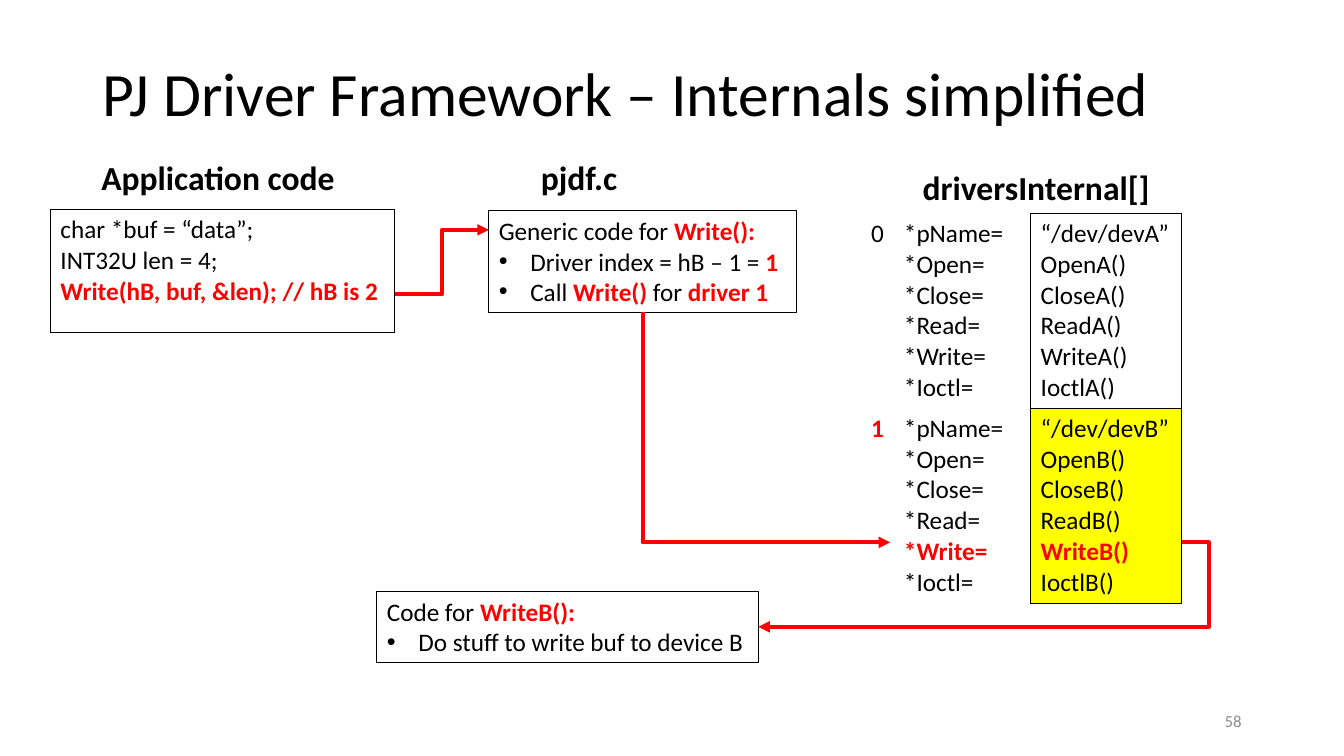
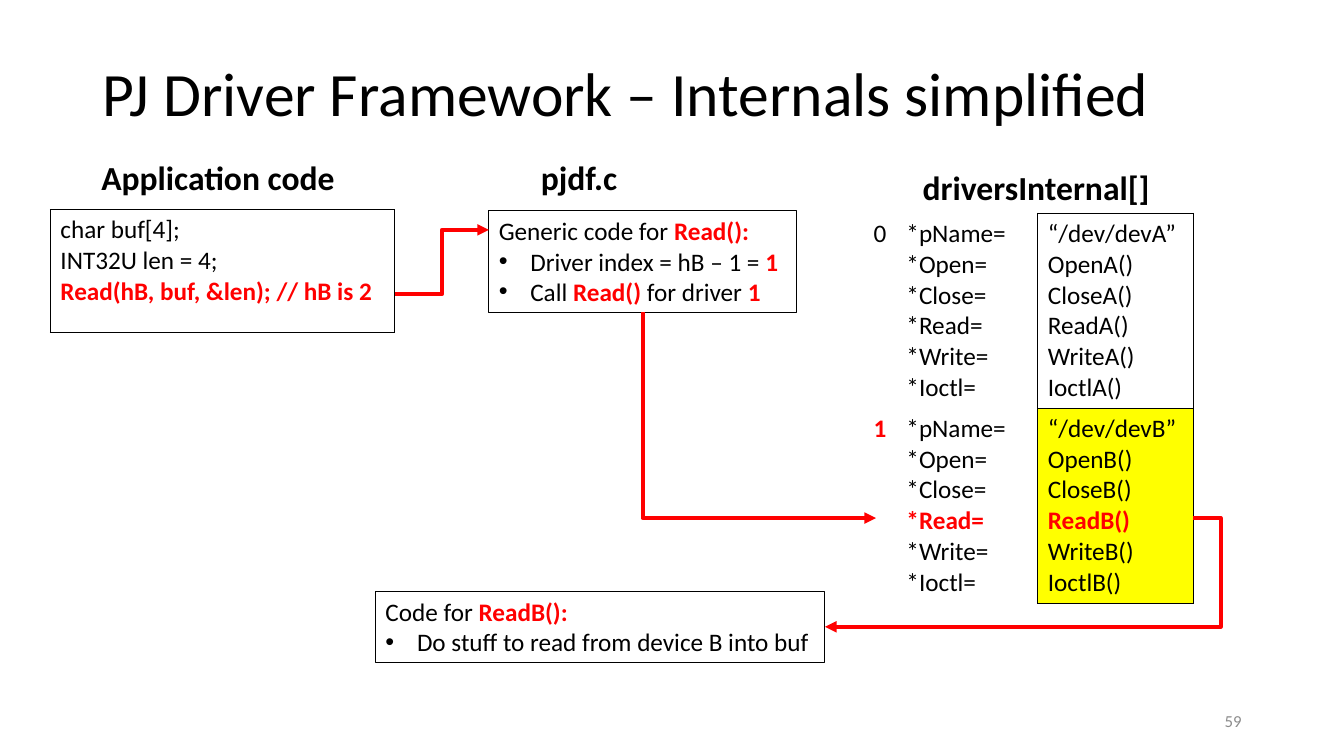
from dataclasses import dataclass

from lxml.etree import SubElement
from pptx import Presentation
from pptx.dml.color import RGBColor
from pptx.enum.shapes import MSO_CONNECTOR as Connector, MSO_SHAPE as Shape
from pptx.enum.text import MSO_ANCHOR as Anchor, MSO_AUTO_SIZE as AutoSize, PP_ALIGN as Align
from pptx.oxml.ns import qn
from pptx.util import Pt

BLACK = RGBColor(0x00, 0x00, 0x00)
RED = RGBColor(0xFF, 0x00, 0x00)
GRAY = RGBColor(0x8C, 0x8C, 0x8C)
YELLOW = RGBColor(0xFF, 0xFF, 0x00)

FONT = "Calibri"
BODY_SIZE = 18
TITLE = "PJ Driver Framework – Internals simplified"
FIELDS = ("Open", "Close", "Read", "Write", "Ioctl")
ALL_SIDES = ("lnL", "lnR", "lnT", "lnB")
BULLET_INDENT = 22.5

TABLE_LEFT, TABLE_TOP, ENTRY_HEIGHT = 589, 152.5, 139.2
CELL_MARGIN, LINE_HEIGHT = 3.6, 22
BEND_OUT = 19.4


@dataclass(frozen=True)
class Span:
    text: str
    hot: bool = False


@dataclass(frozen=True)
class Line:
    spans: tuple[Span, ...]
    bullet: bool = False


@dataclass(frozen=True)
class Style:
    size: float = BODY_SIZE
    color: RGBColor = BLACK
    bold: bool = False
    align: Align = Align.LEFT
    spacing: float | None = None


@dataclass(frozen=True)
class Area:
    left: float
    top: float
    width: float
    height: float

    @property
    def right(self) -> float:
        return self.left + self.width

    @property
    def bottom(self) -> float:
        return self.top + self.height

    def lengths(self) -> tuple[Pt, ...]:
        return Pt(self.left), Pt(self.top), Pt(self.width), Pt(self.height)


@dataclass(frozen=True)
class Label:
    text: str
    area: Area


@dataclass(frozen=True)
class Walkthrough:
    number: int
    operation: str
    declaration: str
    driver_call: tuple[Span, ...]
    task: str
    routine_area: Area
    columns: tuple[float, ...]
    arrow_end: float
    arrow_level: float


BODY = Style()
HEADING = Style(size=24, bold=True)
TITLE_STYLE = Style(size=44, spacing=0.9)
NUMBER_STYLE = Style(size=12, color=GRAY, align=Align.RIGHT)

TITLE_AREA = Area(66, 28.75, 828, 80)
NUMBER_AREA = Area(678, 500.5, 216, 28.75)
APPLICATION_AREA = Area(36, 149.75, 246, 88)
GENERIC_AREA = Area(349.2, 150.5, 219.6, 72.7)

LABELS = (
    Label("driversInternal[]", Area(652, 115.4, 178.5, 36)),
    Label("Application code", Area(65.3, 108.3, 183, 36)),
    Label("pjdf.c", Area(379.2, 108.3, 70, 36)),
)

WALKTHROUGHS = (
    Walkthrough(
        58, "Write", "char *buf = “data”;",
        (Span("for "), Span("driver 1", True)),
        "Do stuff to write buf to device B",
        Area(269.3, 422.2, 272.4, 51), (49.5, 97.7, 108), 635.8, 387.4,
    ),
    Walkthrough(
        59, "Read", "char buf[4];",
        (Span("for driver "), Span("1", True)),
        "Do stuff to read from device B into buf",
        Area(268.3, 422.2, 321, 51), (51.3, 101, 111.2), 625.7, 370,
    ),
)


def plain(text: str, hot: bool = False) -> Line:
    return Line((Span(text, hot),))


def write_lines(frame, lines: list[Line], style: Style = BODY) -> None:
    for index, line in enumerate(lines):
        para = frame.add_paragraph() if index else frame.paragraphs[0]
        para.alignment = style.align
        if style.spacing:
            para.line_spacing = style.spacing
        if line.bullet:
            properties = para._p.get_or_add_pPr()
            properties.set("marL", str(Pt(BULLET_INDENT)))
            properties.set("indent", str(-Pt(BULLET_INDENT)))
            SubElement(properties, qn("a:buFont"), typeface="Arial")
            SubElement(properties, qn("a:buChar"), char="•")
        para.font.name = FONT
        para.font.size = Pt(style.size)
        uniform = len({span.hot for span in line.spans}) == 1
        for span in line.spans:
            run = para.add_run()
            run.text = span.text
            font = para.font if uniform else run.font
            font.bold = style.bold or span.hot
            font.color.rgb = RED if span.hot else style.color


def add_text(page, area: Area, text: str, style: Style, fitted: bool = False) -> None:
    frame = page.shapes.add_textbox(*area.lengths()).text_frame
    frame.word_wrap = not fitted
    frame.auto_size = AutoSize.SHAPE_TO_FIT_TEXT if fitted else AutoSize.NONE
    frame.vertical_anchor = Anchor.TOP if fitted else Anchor.MIDDLE
    write_lines(frame, [plain(text)], style)


def add_code_box(page, area: Area, lines: list[Line]) -> None:
    box = page.shapes.add_shape(Shape.RECTANGLE, *area.lengths())
    box.shadow.inherit = False
    box.fill.background()
    box.line.color.rgb = BLACK
    box.line.width = Pt(0.75)
    frame = box.text_frame
    frame.word_wrap = False
    frame.auto_size = AutoSize.SHAPE_TO_FIT_TEXT
    frame.vertical_anchor = Anchor.TOP
    write_lines(frame, lines)


def add_plain_table(page, area: Area, columns: tuple[float, ...], row_count: int):
    table = page.shapes.add_table(row_count, len(columns), *area.lengths()).table
    table.first_row = False
    table.horz_banding = False
    for column, width in zip(table.columns, columns):
        column.width = Pt(width)
    for row in table.rows:
        row.height = Pt(area.height / row_count)
    return table


def fill_cell(cell, lines: list[Line], sides: tuple[str, ...] = (),
              fill: RGBColor | None = None, style: Style = BODY) -> None:
    properties = cell._tc.get_or_add_tcPr()
    for side in sides:
        border = SubElement(properties, qn(f"a:{side}"), w=str(Pt(1)))
        solid = SubElement(border, qn("a:solidFill"))
        SubElement(solid, qn("a:srgbClr"), val=str(BLACK))
    if fill is None:
        cell.fill.background()
    else:
        cell.fill.solid()
        cell.fill.fore_color.rgb = fill
    write_lines(cell.text_frame, lines, style)


def add_elbow(page, begin: tuple[float, float], end: tuple[float, float], bend: float = 0.5):
    points = [Pt(value) for value in (*begin, *end)]
    arrow = page.shapes.add_connector(Connector.ELBOW, *points)
    arrow.line.color.rgb = RED
    arrow.line.width = Pt(2.75)
    properties = arrow._element.spPr
    SubElement(properties.find(qn("a:ln")), qn("a:tailEnd"), type="triangle")
    SubElement(properties, qn("a:effectLst"))
    guides = properties.find(qn("a:prstGeom")).find(qn("a:avLst"))
    SubElement(guides, qn("a:gd"), name="adj1", fmla=f"val {round(bend * 100000)}")
    return arrow


def add_corner(page, begin: tuple[float, float], end: tuple[float, float]) -> None:
    center_x, center_y = (begin[0] + end[0]) / 2, (begin[1] + end[1]) / 2
    half_width, half_height = (end[0] - begin[0]) / 2, (end[1] - begin[1]) / 2
    arrow = add_elbow(page, (center_x + half_height, center_y - half_width),
                      (center_x - half_height, center_y + half_width))
    properties = arrow._element.spPr
    properties.find(qn("a:xfrm")).set("rot", str(270 * 60000))
    geometry = properties.find(qn("a:prstGeom"))
    geometry.set("prst", "bentConnector2")
    guides = geometry.find(qn("a:avLst"))
    guides.remove(guides[0])


def add_driver_table(page, walkthrough: Walkthrough) -> Area:
    area = Area(TABLE_LEFT, TABLE_TOP, sum(walkthrough.columns), 2 * ENTRY_HEIGHT)
    table = add_plain_table(page, area, walkthrough.columns, 2)
    for row, (device, fill) in enumerate((("A", None), ("B", YELLOW))):
        called = device == "B"
        names = [plain("*pName=")]
        values = [plain(f"“/dev/dev{device}”")]
        for field in FIELDS:
            hot = called and field == walkthrough.operation
            names.append(plain(f"*{field}=", hot))
            values.append(plain(f"{field}{device}()", hot))
        fill_cell(table.cell(row, 0), [plain(str(row), called)], style=Style(align=Align.RIGHT))
        fill_cell(table.cell(row, 1), names, ("lnR",))
        fill_cell(table.cell(row, 2), values, ALL_SIDES, fill)
    return area


def add_walkthrough(deck, walkthrough: Walkthrough) -> None:
    page = deck.slides.add_slide(deck.slide_layouts[6])
    operation, routine = walkthrough.operation, walkthrough.routine_area
    add_text(page, TITLE_AREA, TITLE, TITLE_STYLE)
    add_text(page, NUMBER_AREA, str(walkthrough.number), NUMBER_STYLE)

    application = add_plain_table(page, APPLICATION_AREA, (APPLICATION_AREA.width,), 1)
    fill_cell(application.cell(0, 0), [
        plain(walkthrough.declaration),
        plain("INT32U len = 4;"),
        plain(f"{operation}(hB, buf, &len); // hB is 2", True),
    ], ALL_SIDES)
    drivers = add_driver_table(page, walkthrough)
    for label in LABELS:
        add_text(page, label.area, label.text, HEADING, fitted=True)

    add_code_box(page, GENERIC_AREA, [
        Line((Span("Generic code for "), Span(f"{operation}():", True))),
        Line((Span("Driver index = hB – 1 = "), Span("1", True)), bullet=True),
        Line((Span("Call "), Span(f"{operation}() ", True), *walkthrough.driver_call), bullet=True),
    ])
    add_code_box(page, routine, [
        Line((Span("Code for "), Span(f"{operation}B():", True))),
        Line((Span(walkthrough.task),), bullet=True),
    ])

    level = walkthrough.arrow_level
    add_elbow(page, (drivers.right, level), (routine.right, routine.top + routine.height / 2),
              -BEND_OUT / (drivers.right - routine.right))
    add_elbow(page, (APPLICATION_AREA.right, 210.2), (GENERIC_AREA.left, 164.2))
    add_corner(page, (GENERIC_AREA.left + GENERIC_AREA.width / 2, GENERIC_AREA.bottom),
               (walkthrough.arrow_end, level))


def main() -> None:
    deck = Presentation()
    deck.slide_width, deck.slide_height = Pt(960), Pt(540)
    for walkthrough in WALKTHROUGHS:
        add_walkthrough(deck, walkthrough)
    deck.save("out.pptx")


if __name__ == "__main__":
    main()
